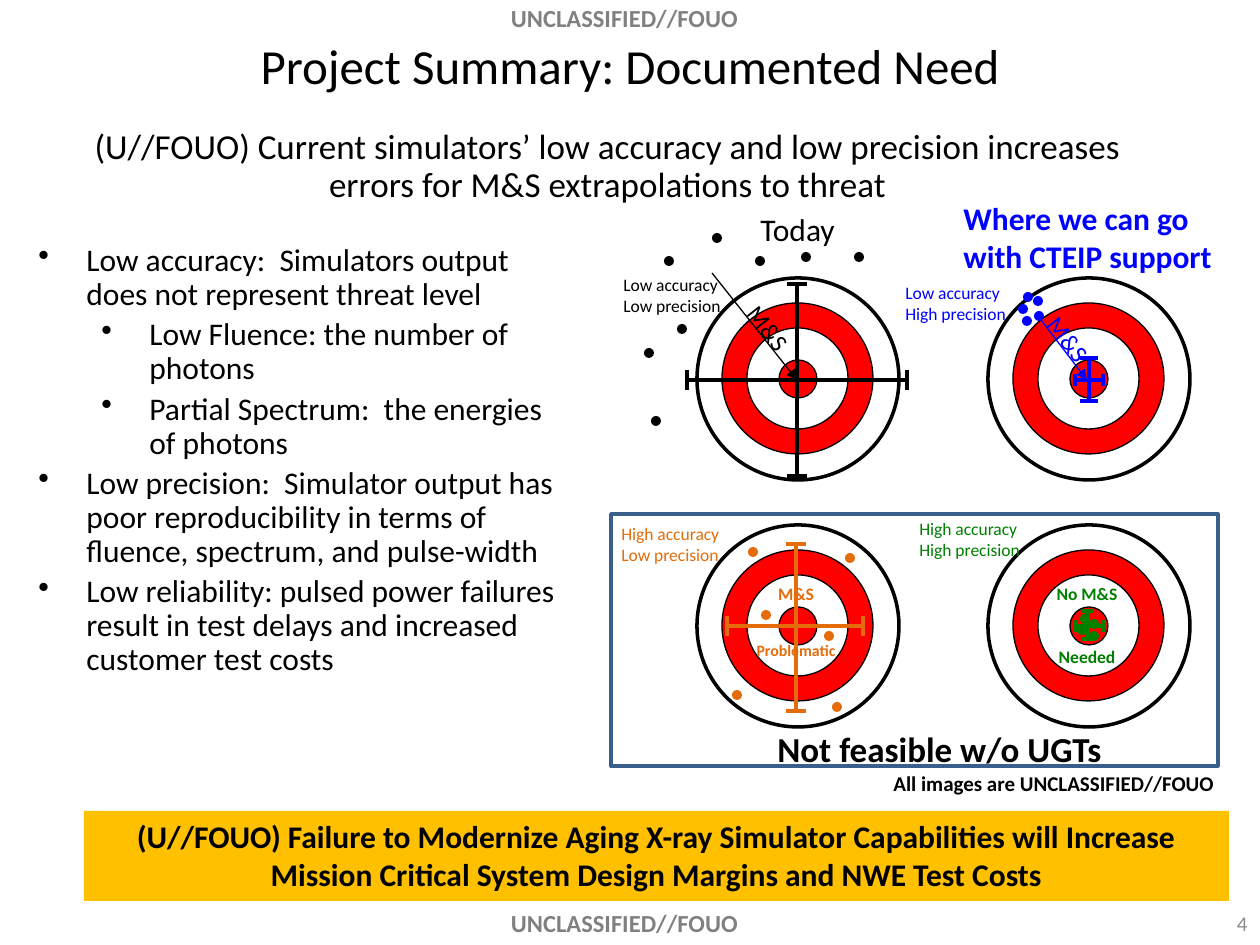
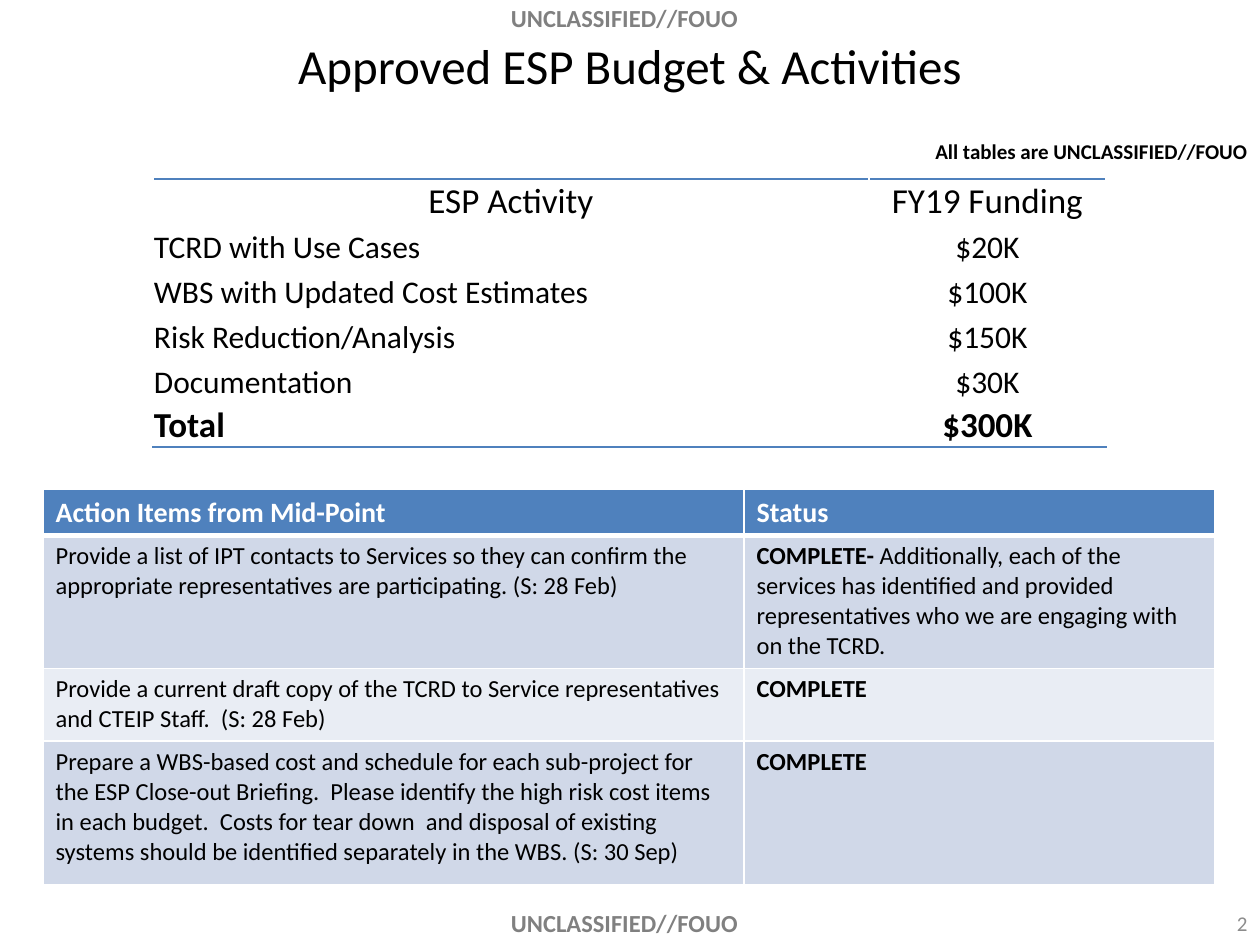
import dataclasses

import lxml.etree
import pptx
import pptx.dml.color
import pptx.enum.shapes
import pptx.enum.text
import pptx.oxml.ns
import pptx.util

ALIGN = pptx.enum.text.PP_ALIGN
ANCHOR = pptx.enum.text.MSO_ANCHOR
SHAPE = pptx.enum.shapes.MSO_SHAPE
PIXELS_PER_INCH = 126


@dataclasses.dataclass(frozen=True)
class Theme:
    """Colours, font and type sizes of the deck."""
    font: str = "Calibri"
    black: str = "000000"
    white: str = "FFFFFF"
    grey: str = "808080"
    number: str = "8C8C8C"
    red: str = "FF0000"
    blue: str = "0000FF"
    green: str = "008000"
    orange: str = "E46C0A"
    gold: str = "FFC000"
    frame: str = "3A5F8C"
    header: str = "4F81BD"
    band_dark: str = "D0D8E8"
    band_light: str = "E9EDF4"
    title: int = 28
    lead: int = 20
    body: int = 18
    heading: int = 16
    marking: int = 14
    note: int = 12
    label: int = 10
    tiny: int = 9


THEME = Theme()


@dataclasses.dataclass(frozen=True)
class Target:
    """One target: its place, and marks measured from its top left corner."""
    left: int
    top: int
    colour: str
    label: tuple
    label_at: tuple
    dots: tuple
    bars: tuple
    arrow: tuple = ()
    verdict: tuple = ()


TARGETS = (
    Target(697, 278, THEME.black, ("Low accuracy", "Low precision"), (-86, -10),
           ((-33, -22), (15, -45), (157, -26), (-20, 46), (-46, 138), (104, -26), (58, -22), (-53, 70)),
           ((100, 6, 198, 10), (102, -10, 210, 10)), arrow=((15, -5), (100, 102), (34, 29))),
    Target(988, 278, THEME.blue, ("Low accuracy", "High precision"), (-95, -2),
           ((30, 26), (46, 33), (34, 38), (35, 14), (45, 18)),
           ((101, 80, 123, 9), (102, 87, 115, 6)), arrow=((50, 38), (99, 102), (43, 40))),
    Target(697, 525, THEME.orange, ("High accuracy", "Low precision"), (-88, -8),
           ((64, 85), (35, 165), (127, 106), (135, 177), (148, 28), (51, 22)),
           ((99, 19, 186, 10), (101, 30, 166, 10)), verdict=("M&S", "Problematic", THEME.tiny, 21)),
    Target(988, 525, THEME.green, ("High accuracy", "High precision"), (-81, -13),
           ((89, 100), (101, 94), (101, 106), (92, 89)),
           ((99, 86, 114, 6), (101, 88, 115, 6)), verdict=("No M&S", "Needed", THEME.label, 24)),
)

NEEDS = (
    (0, "Low accuracy:  Simulators output does not represent threat level"),
    (1, "Low Fluence: the number of photons"),
    (1, "Partial Spectrum:  the energies of photons"),
    (0, "Low precision:  Simulator output has poor reproducibility in terms of fluence, spectrum, and pulse-width"),
    (0, "Low reliability: pulsed power failures result in test delays and increased customer test costs"),
)

BUDGET = (
    ("ESP Activity", "FY19 Funding"),
    ("TCRD with Use Cases", "$20K"),
    ("WBS with Updated Cost Estimates", "$100K"),
    ("Risk Reduction/Analysis", "$150K"),
    ("Documentation", "$30K"),
    ("Total", "$300K"),
)

ACTIONS = (
    ("Provide a list of IPT contacts to Services so they can confirm the appropriate representatives "
     "are participating. (S: 28 Feb)", "COMPLETE-",
     " Additionally, each of the services has identified and provided representatives who we are "
     "engaging with on the TCRD."),
    ("Provide a current draft copy of the TCRD to Service representatives and CTEIP Staff.  (S: 28 Feb)",
     "COMPLETE", ""),
    ("Prepare a WBS-based cost and schedule for each sub-project for the ESP Close-out Briefing.  "
     "Please identify the high risk cost items in each budget.  Costs for tear down  and disposal of "
     "existing systems should be identified separately in the WBS. (S: 30 Sep)", "COMPLETE", ""),
)


def px(length):
    """Turn pixels into EMU."""
    return pptx.util.Emu(round(length * 914400 / PIXELS_PER_INCH))


def rgb(colour):
    """Turn a hex string into a colour."""
    return pptx.dml.color.RGBColor.from_string(colour)


def style(paragraph, size, colour=THEME.black, bold=False, align=ALIGN.LEFT):
    """Set the font and alignment of a paragraph."""
    paragraph.alignment = align
    font = paragraph.font
    font.name, font.size, font.bold = THEME.font, pptx.util.Pt(size), bold
    font.color.rgb = rgb(colour)


def write(shape, lines, size, anchor=ANCHOR.TOP, wrap=True, **look):
    """Fill a shape with equally styled paragraphs and return them."""
    frame = shape.text_frame
    frame.word_wrap, frame.vertical_anchor = wrap, anchor
    frame.text = "\n".join(lines)
    for paragraph in frame.paragraphs:
        style(paragraph, size, **look)
    return frame.paragraphs


def add_text(slide, box, lines, size, **look):
    """Add a text box and return it."""
    textbox = slide.shapes.add_textbox(*map(px, box))
    write(textbox, lines, size, **look)
    return textbox


def add_shape(shapes, kind, box, fill=None, line=None, weight=1):
    """Add a preset shape without shadow."""
    shape = shapes.add_shape(kind, *map(px, box))
    shape.shadow.inherit = False
    if fill:
        shape.fill.solid()
        shape.fill.fore_color.rgb = rgb(fill)
    else:
        shape.fill.background()
    if line:
        shape.line.color.rgb = rgb(line)
        shape.line.width = pptx.util.Pt(weight)
    else:
        shape.line.fill.background()
    return shape


def add_line(shapes, start, end, colour, weight, arrow=False):
    """Add a straight line, with an arrowhead at its end if asked."""
    connector = shapes.add_connector(pptx.enum.shapes.MSO_CONNECTOR.STRAIGHT, *map(px, start + end))
    connector.line.color.rgb = rgb(colour)
    connector.line.width = pptx.util.Pt(weight)
    if arrow:
        outline = connector.line._get_or_add_ln()
        lxml.etree.SubElement(outline, pptx.oxml.ns.qn("a:tailEnd"), type="triangle")
    lxml.etree.SubElement(connector._element.spPr, pptx.oxml.ns.qn("a:effectLst"))


def add_page(presentation, title, number):
    """Add a blank slide with markings, title and slide number."""
    slide = presentation.slides.add_slide(presentation.slide_layouts[6])
    for top in (-3, 902):
        band = add_shape(slide.shapes, SHAPE.RECTANGLE, (399, top, 451, 43), THEME.white)
        write(band, ["UNCLASSIFIED//FOUO"], THEME.marking, colour=THEME.grey, bold=True, align=ALIGN.CENTER)
    add_text(slide, (63, 21, 1134, 88), [title], THEME.title, anchor=ANCHOR.MIDDLE, align=ALIGN.CENTER)
    add_text(slide, (998, 892, 262, 63), [number], THEME.note, anchor=ANCHOR.MIDDLE,
             colour=THEME.number, align=ALIGN.RIGHT)
    return slide


def add_needs(slide, box):
    """Write the two-level bullet list."""
    textbox = add_text(slide, box, [text for _, text in NEEDS], THEME.body)
    for index, (paragraph, (level, _)) in enumerate(zip(textbox.text_frame.paragraphs, NEEDS)):
        paragraph.level = level
        paragraph.line_spacing = 0.9
        paragraph.space_before = pptx.util.Pt(3.6 if index else 0)
        properties = paragraph._p.get_or_add_pPr()
        properties.set("marL", str(px((48, 111)[level])))
        properties.set("indent", str(px(-48)))
        bullet = lxml.etree.Element(pptx.oxml.ns.qn("a:buChar"), char="•")
        properties.find(pptx.oxml.ns.qn("a:defRPr")).addprevious(bullet)


def add_error_bars(slide, target):
    """Draw the vertical and horizontal error bars of a target."""
    vertical, horizontal = target.bars
    for (middle, low, high, cap), flipped in ((vertical, False), (horizontal, True)):
        strokes = [((middle, low), (middle, high))]
        strokes += [((middle - cap, end), (middle + cap, end)) for end in (low, high)]
        bar = slide.shapes.add_group_shape().shapes
        for stroke in strokes:
            points = [point[::-1] if flipped else point for point in stroke]
            start, end = [(target.left + x, target.top + y) for x, y in points]
            add_line(bar, start, end, target.colour, 2)


def add_target(slide, target):
    """Draw one target with its label, hits, error bars and remark."""
    def place(offset):
        """Move an offset to the target."""
        return target.left + offset[0], target.top + offset[1]

    rings = slide.shapes.add_group_shape().shapes
    for inset, size, fill, weight in ((0, 202, None, 2), (25, 151, THEME.red, 0.75),
                                      (50, 101, THEME.white, 0.75), (82, 38, THEME.red, 0.75)):
        add_shape(rings, SHAPE.OVAL, (*place((inset, inset)), size, size), fill, THEME.black, weight)
    for dot in target.dots:
        add_shape(slide.shapes, SHAPE.OVAL, (*place(dot), 10, 10), target.colour)
    add_text(slide, (*place(target.label_at), 127, 55), target.label, THEME.label,
             wrap=False, colour=target.colour)
    add_error_bars(slide, target)
    if target.arrow:
        start, end, caption = target.arrow
        add_line(slide.shapes, place(start), place(end), THEME.black if target.colour == THEME.black
                 else target.colour, 0.75, arrow=True)
        textbox = add_text(slide, (*place(caption), 74, 43), ["M&S"], THEME.marking,
                           wrap=False, colour=target.colour)
        textbox.rotation = 51.8
    if target.verdict:
        upper, lower, size, gap = target.verdict
        textbox = add_text(slide, (*place((45, 52)), 108, 97), [upper, lower], THEME.label,
                           colour=target.colour, bold=True, align=ALIGN.CENTER)
        last = textbox.text_frame.paragraphs[1]
        last.font.size, last.space_before = pptx.util.Pt(size), pptx.util.Pt(gap)


def add_table(slide, left, top, widths, heights):
    """Add a table without banding and return it."""
    box = (left, top, sum(widths), sum(heights))
    table = slide.shapes.add_table(len(heights), len(widths), *map(px, box)).table
    table.first_row = table.horz_banding = False
    for column, width in zip(table.columns, widths):
        column.width = px(width)
    for row, height in zip(table.rows, heights):
        row.height = px(height)
    return table


def set_borders(cell, colour, **weights):
    """Draw cell borders, given as side letter and weight in points."""
    properties = cell._tc.get_or_add_tcPr()
    for index, (side, weight) in enumerate(weights.items()):
        line = lxml.etree.Element(pptx.oxml.ns.qn("a:ln" + side), w=str(pptx.util.Pt(weight)))
        fill = lxml.etree.SubElement(line, pptx.oxml.ns.qn("a:solidFill"))
        lxml.etree.SubElement(fill, pptx.oxml.ns.qn("a:srgbClr"), val=colour)
        properties.insert(index, line)


def add_budget(slide, left, top):
    """Build the funding table."""
    table = add_table(slide, left, top, (716, 237), (43, 45, 45, 45, 45, 45))
    final = len(BUDGET) - 1
    for row, texts in enumerate(BUDGET):
        for column, text in enumerate(texts):
            cell = table.cell(row, column)
            cell.text = text
            cell.vertical_anchor = ANCHOR.BOTTOM
            cell.margin_left = cell.margin_right = cell.margin_top = px(1)
            cell.margin_bottom = 0
            cell.fill.background()
            style(cell.text_frame.paragraphs[0], THEME.lead if row in (0, final) else THEME.body,
                  bold=row == final, align=ALIGN.CENTER if row == 0 or column else ALIGN.LEFT)
            if row in (0, final):
                set_borders(cell, THEME.header, **{"B" if row else "T": 1})


def add_actions(slide, left, top):
    """Build the action item table."""
    table = add_table(slide, left, top, (701, 471), (45, 133, 73, 144))
    rows = (("Action Items from Mid-Point", "Status", ""), *ACTIONS)
    fills = (THEME.header, THEME.band_dark, THEME.band_light, THEME.band_dark)
    for row, ((action, status, detail), fill) in enumerate(zip(rows, fills)):
        for column, text in enumerate((action, status)):
            cell = table.cell(row, column)
            cell.fill.solid()
            cell.fill.fore_color.rgb = rgb(fill)
            set_borders(cell, THEME.white, L=1, R=1, T=3 if row == 1 else 1, B=1 if row else 3)
            paragraph = cell.text_frame.paragraphs[0]
            run = paragraph.add_run()
            run.text = text
            style(paragraph, THEME.marking if row else THEME.heading,
                  THEME.black if row else THEME.white, bold=row == 0 or (column == 1 and not detail))
            if column and detail:
                run.font.bold = True
                paragraph.add_run().text = detail


def build_need_slide(presentation):
    """Build the slide on the documented need."""
    slide = add_page(presentation, "Project Summary: Documented Need", "4")
    lead = add_text(slide, (45, 123, 1125, 129),
                    ["(U//FOUO) Current simulators’ low accuracy and low precision increases errors "
                     "for M&S extrapolations to threat"], THEME.lead, align=ALIGN.CENTER)
    lead.text_frame.paragraphs[0].line_spacing = 0.9
    add_needs(slide, (26, 238, 549, 489))
    for target in TARGETS:
        add_target(slide, target)
    add_text(slide, (748, 204, 101, 50), ["Today"], THEME.body, wrap=False)
    add_text(slide, (951, 193, 290, 89), ["Where we can go with CTEIP support"], THEME.body,
             colour=THEME.blue, bold=True)
    add_text(slide, (765, 721, 353, 55), ["Not feasible w/o UGTs"], THEME.lead, wrap=False, bold=True)
    add_shape(slide.shapes, SHAPE.RECTANGLE, (611, 514, 607, 252), line=THEME.frame, weight=2)
    add_text(slide, (881, 764, 379, 38), ["All images are UNCLASSIFIED//FOUO"], THEME.note, bold=True)
    banner = add_shape(slide.shapes, SHAPE.RECTANGLE, (84, 811, 1145, 90), THEME.gold)
    write(banner, ["(U//FOUO) Failure to Modernize Aging X-ray Simulator Capabilities will Increase "
                   "Mission Critical System Design Margins and NWE Test Costs"],
          THEME.body, bold=True, align=ALIGN.CENTER)


def build_budget_slide(presentation):
    """Build the slide on budget and action items."""
    slide = add_page(presentation, "Approved ESP Budget & Activities", "2")
    add_budget(slide, 153, 179)
    add_actions(slide, 43, 489)
    add_text(slide, (717, 132, 543, 38), ["All tables are UNCLASSIFIED//FOUO"], THEME.note,
             bold=True, align=ALIGN.RIGHT)


def main():
    """Build and save the presentation."""
    presentation = pptx.Presentation()
    presentation.slide_width, presentation.slide_height = px(1260), px(945)
    build_need_slide(presentation)
    build_budget_slide(presentation)
    presentation.save("out.pptx")


if __name__ == "__main__":
    main()
